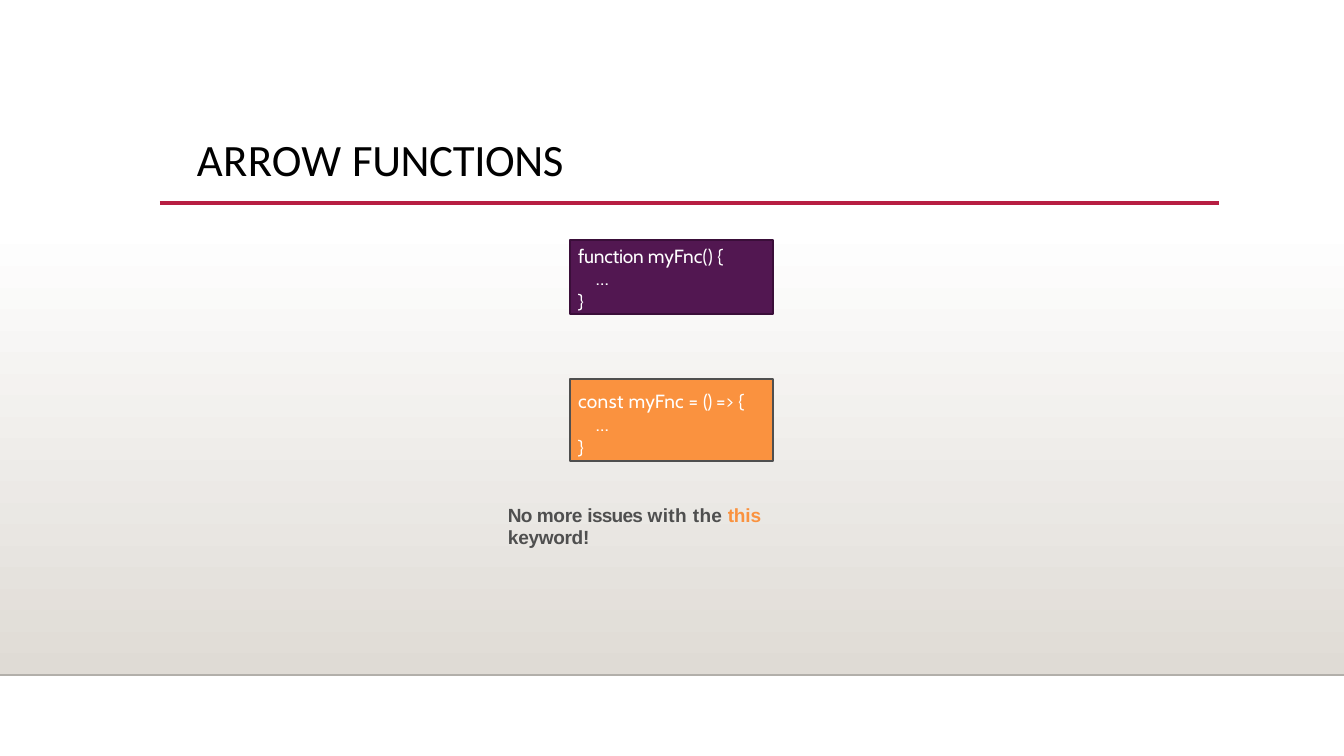
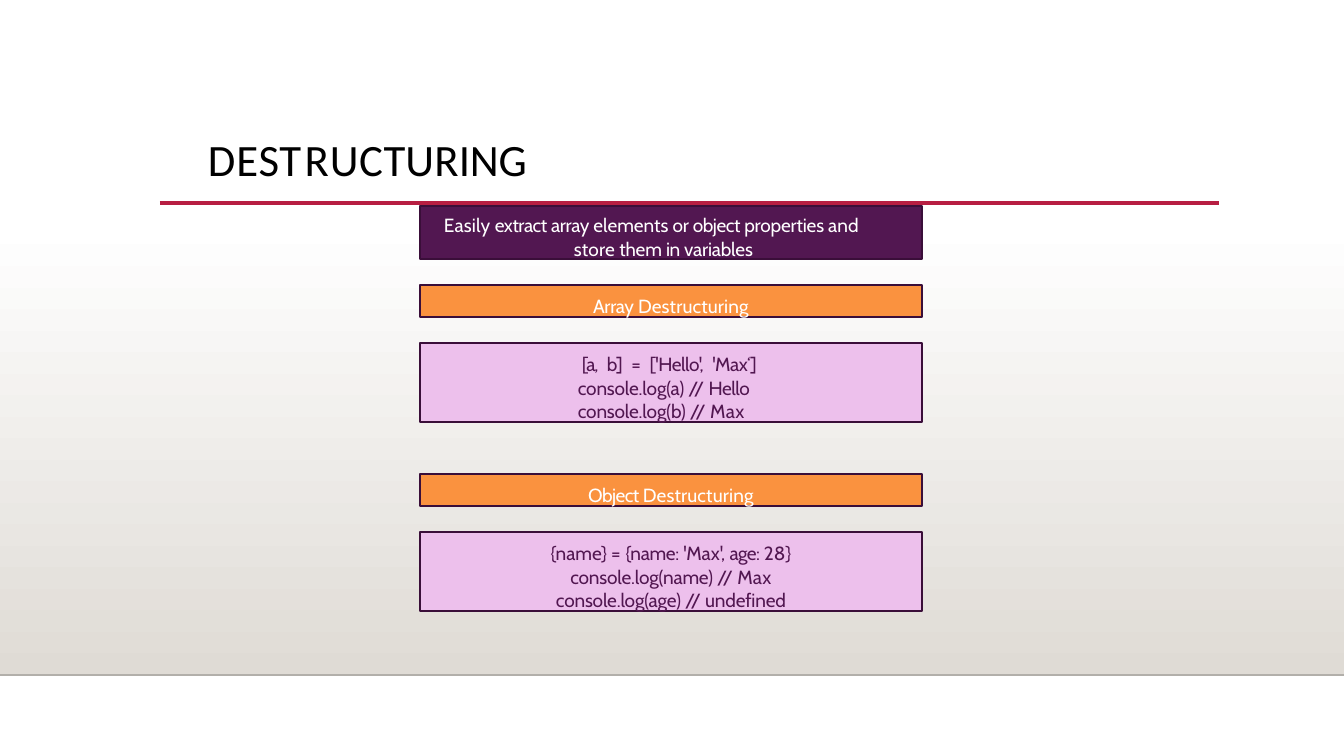
from pptx import Presentation
from pptx.dml.color import RGBColor
from pptx.enum.shapes import MSO_CONNECTOR, MSO_SHAPE
from pptx.enum.text import MSO_ANCHOR, PP_ALIGN
from pptx.oxml.ns import qn
from pptx.util import Emu, Pt
from lxml.etree import SubElement

SCALE = 914400 / 100.8
WIDE, HIGH = 1344, 756
HUES = {
    "white": "FFFFFF", "sand": "DFDBD5", "edge": "B2AFAA", "red": "B71E42",
    "black": "000000", "plum": "521751", "dark": "3A0E39",
    "orange": "FA923F", "gray": "4F4F4F", "pink": "EDC0EC",
}
HEAD = {"name": "Calibri", "size": Pt(32), "bold": False}
CODE = {"name": "Cabin", "size": Pt(13.6), "bold": False}
NOTE = {"name": "Arial", "size": Pt(13.6), "bold": True}


def px(n):
    return Emu(round(n * SCALE))


def hue(name):
    return RGBColor.from_string(HUES[name])


def apply(item, look):
    for key, value in look.items():
        setattr(item, key, value)


def write(shape, lines, font, color, top=0, right=0, anchor=MSO_ANCHOR.TOP,
          indent=0, hang=0, align=PP_ALIGN.LEFT, pitch=1.0):
    """Fill a shape; each line is (extra indent, runs), each run (text, spacing[, color])."""
    frame = shape.text_frame
    apply(frame, {"word_wrap": True, "vertical_anchor": anchor,
                  "margin_left": 0, "margin_right": px(right),
                  "margin_top": px(top), "margin_bottom": 0})
    for i, (extra, runs) in enumerate(lines):
        para = frame.add_paragraph() if i else frame.paragraphs[0]
        apply(para, {"alignment": align, "line_spacing": pitch,
                     "space_before": Pt(0)})
        props = para._p.get_or_add_pPr()
        props.set("marL", str(px(indent + extra)))
        props.set("indent", str(px(hang)))
        for text, gap, *own in runs:
            run = para.add_run()
            run.text = text
            apply(run.font, font)
            run.font.color.rgb = hue(own[0] if own else color)
            run._r.get_or_add_rPr().set("spc", str(round(gap * 100)))


def rule(slide, left, right, y, color, weight):
    line = slide.shapes.add_connector(
        MSO_CONNECTOR.STRAIGHT, px(left), px(y), px(right), px(y))
    line.line.color.rgb = hue(color)
    line.line.width = Pt(weight)
    SubElement(line._element.spPr, qn("a:effectLst"))


def block(slide, x, y, w, h):
    shape = slide.shapes.add_shape(
        MSO_SHAPE.RECTANGLE, px(x), px(y), px(w), px(h))
    shape.shadow.inherit = False
    return shape


def box(slide, place, fill, edge, lines, color="white", **form):
    shape = block(slide, *place)
    shape.fill.solid()
    shape.fill.fore_color.rgb = hue(fill)
    shape.line.color.rgb = hue(edge)
    shape.line.width = Pt(1)
    write(shape, lines, CODE, color, **form)


def start(deck, left, runs):
    """Add a slide with the shared backdrop, rules and title."""
    slide = deck.slides.add_slide(deck.slide_layouts[5])
    floor = block(slide, 0, 223, WIDE, 452)
    floor.line.fill.background()
    floor.fill.gradient()
    floor.fill.gradient_angle = 270
    for stop, name in zip(floor.fill.gradient_stops, ("white", "sand")):
        stop.color.rgb = hue(name)
    rule(slide, 0, WIDE, 675, "edge", 1)
    rule(slide, 160, 1219, 203, "red", 2.5)
    title = slide.shapes.title
    apply(title, {"left": px(left), "top": px(130),
                  "width": px(640), "height": px(56)})
    write(title, [(0, runs)], HEAD, "black", top=1, anchor=MSO_ANCHOR.MIDDLE)
    return slide


def arrows(deck):
    slide = start(deck, 197, [("ARROW ", 0.2), ("FUNCTIONS", -0.3)])

    # Old and new function forms
    tail = [(18, [("…", -1)]), (0, [("}", -0.4)])]
    old = [("function ", -0.1), ("myFnc() ", 0.1), ("{", -0.4)]
    new = [("const ", 0.3), ("myFnc = ", 0.2), ("() ", -0.4),
           ("=> ", 0.2), ("{", -0.4)]
    for y, h, fill, edge, top, runs in (
            (240, 74, "plum", "dark", 4, old),
            (379, 82, "orange", "gray", 11, new)):
        box(slide, (570, y, 203, h), fill, edge, [(0, runs)] + tail,
            top=top, indent=8)

    # Remark
    note = slide.shapes.add_textbox(px(508), px(502), px(300), px(48))
    write(note, [(0, [("No ", -0.6), ("more ", -0.2), ("issues ", -0.5),
                      ("with ", 0.3), ("the ", 0.2), ("this ", -0.1, "orange"),
                      ("keyword!", -0.2)])], NOTE, "gray", top=1)


def log(name, value, gap):
    return [(f"console.log({name}) ", -0.1), ("//", -2.3), (" ", 0),
            (value, gap)]


def unpack(deck):
    slide = start(deck, 208, [
        ("D", 0.5), ("E", 0.4), ("S", -1.5), ("T", 2.4), ("R", 0.7),
        ("UC", 0.3), ("TUR", 0.1), ("ING", -0.2)])
    left, wide = 420, 502

    # Summary
    box(slide, (left, 206, wide, 53), "plum", "dark", [(0, [
        ("Easily ", 0.1), ("extract ", -0.3), ("array ", -0.2),
        ("elements ", 0), ("or ", -0.2), ("object ", -0.3),
        ("properties ", -0.1), ("and store ", 0.1), ("them ", -0.1),
        ("in ", -0.3), ("variables", -0.1)])],
        top=6, right=40, indent=154, hang=-130, pitch=1.05)

    # Headings with their examples below
    array = [
        (4, [("[a,", -0.8), (" ", 3), ("b]", -0.1), (" ", 3), ("=", 0.2),
             (" ", 3), ("['Hello',", -0.3), (" ", 3), ("'Max‘]", -0.2)]),
        (0, log("a", "Hello", -0.3)),
        (0, log("b", "Max", 0.3))]
    record = [
        (0, [("{name} ", 0), ("= ", 0.2), ("{name: ", -0.2), ("'Max', ", 0),
             ("age: ", -0.4), ("28}", 0.1)]),
        (0, log("name", "Max", 0.3)),
        (0, log("age", "undefined", -0.1))]
    for y, kind, gap, lines, form in (
            (285, "Array ", -0.2, array, {"indent": 158}),
            (474, "Object ", -0.4, record, {"align": PP_ALIGN.CENTER})):
        box(slide, (left, y, wide, 32), "orange", "dark",
            [(0, [(kind, gap), ("Destructuring", 0.1)])],
            top=9, align=PP_ALIGN.CENTER)
        box(slide, (left, y + 58, wide, 79), "pink", "dark", lines, "plum",
            top=9, pitch=1.03, **form)


def main():
    deck = Presentation()
    deck.slide_width, deck.slide_height = px(WIDE), px(HIGH)
    arrows(deck)
    unpack(deck)
    deck.save("out.pptx")


if __name__ == "__main__":
    main()
